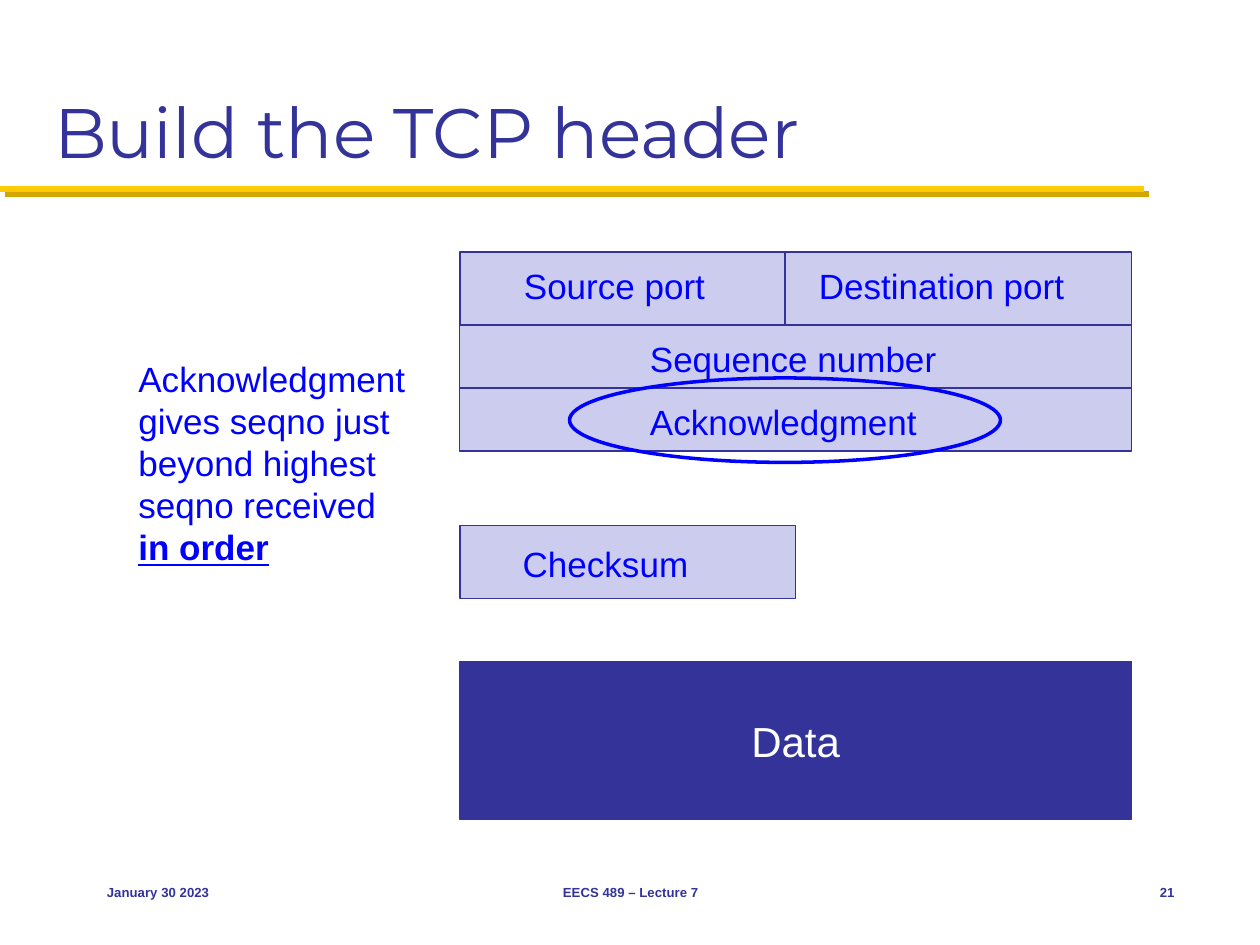
from lxml.etree import SubElement
from pptx import Presentation
from pptx.dml.color import RGBColor
from pptx.enum.shapes import MSO_CONNECTOR, MSO_SHAPE
from pptx.enum.text import MSO_ANCHOR, PP_ALIGN
from pptx.oxml.ns import qn
from pptx.util import Inches, Pt

COLORS = {"navy": "333399", "lavender": "CCCCEE", "blue": "0000FF",
          "gold": "FFCB05", "dark gold": "D3A600", "white": "FFFFFF"}

TITLE = "Build the TCP header"
NOTE = ("Acknowledgment gives seqno just beyond highest seqno received ", "in order")

# Header grid: left edge and full width; each row has top, height and fields
HEADER_LEFT, HEADER_WIDTH = 3.65, 5.33
# Field: name, width, label offset from the field's left and top, label width
HEADER_ROWS = [
    (2.0, 0.58, [("Source port", 2.58, 0.41, 0.05, 1.64),
                 ("Destination port", 2.75, 0.17, 0.05, 2.15)]),
    (2.58, 0.5, [("Sequence number", HEADER_WIDTH, 1.41, 0.05, 2.47)]),
    (3.08, 0.5, [("Acknowledgment", HEADER_WIDTH, 1.41, 0.05, 2.34)]),
    (4.17, 0.58, [("Checksum", HEADER_WIDTH / 2, 0.4, 0.09, 1.51)]),
]
LABEL_HEIGHT = 0.43

# Footer: text, left, width, alignment
FOOTER_TOP, FOOTER_HEIGHT = 6.83, 0.5
FOOTER = [("January 30 2023", 0.75, 2.08, PP_ALIGN.LEFT),
          ("EECS 489 – Lecture 7", 3.42, 3.17, PP_ALIGN.CENTER),
          ("21", 8.75, 0.67, PP_ALIGN.RIGHT)]


def rgb(name):
    return RGBColor.from_string(COLORS[name])


def set_font(paragraph, size, color, name="Arial", bold=False):
    font = paragraph.font
    font.size, font.name, font.bold = Pt(size), name, bold
    font.color.rgb = rgb(color)


def add_block(slide, box, fill=None, line=None, weight=0.75, kind=MSO_SHAPE.RECTANGLE):
    block = slide.shapes.add_shape(kind, *map(Inches, box))
    block.shadow.inherit = False
    if fill:
        block.fill.solid()
        block.fill.fore_color.rgb = rgb(fill)
    else:
        block.fill.background()
    if line:
        block.line.color.rgb = rgb(line)
        block.line.width = Pt(weight)
    else:
        block.line.fill.background()
    return block


def write(shape, text, size, color, align=PP_ALIGN.LEFT, anchor=MSO_ANCHOR.TOP,
          wrap=True, bold=False):
    frame = shape.text_frame
    frame.word_wrap, frame.vertical_anchor = wrap, anchor
    paragraph = frame.paragraphs[0]
    paragraph.text, paragraph.alignment = text, align
    set_font(paragraph, size, color, bold=bold)
    return paragraph


def add_title_rule(slide):
    rule = slide.shapes.add_connector(MSO_CONNECTOR.STRAIGHT, 0, Inches(1.5),
                                      Inches(9.08), Inches(1.5))
    rule.line.color.rgb = rgb("gold")
    rule.line.width = Pt(3.5)
    effects = SubElement(rule._element.spPr, qn("a:effectLst"))
    shadow = SubElement(effects, qn("a:outerShdw"), dist=str(Pt(4.2)),
                        dir=str(45 * 60000), algn="ctr", rotWithShape="0")
    SubElement(shadow, qn("a:srgbClr"), val=COLORS["dark gold"])


def main():
    deck = Presentation()
    deck.slide_width, deck.slide_height = Inches(10), Inches(7.5)
    slide = deck.slides.add_slide(deck.slide_layouts[5])

    # Title and its rule
    add_title_rule(slide)
    title = slide.shapes.title
    title.left, title.top, title.width, title.height = map(Inches, (0.33, 0.17, 9.33, 1.25))
    heading = write(title, TITLE, 40, "navy", anchor=MSO_ANCHOR.BOTTOM)
    set_font(heading, 40, "navy", "Montserrat")

    # Header fields with their labels
    for top, height, fields in HEADER_ROWS:
        left = HEADER_LEFT
        for name, width, dx, dy, label_width in fields:
            add_block(slide, (left, top, width, height), "lavender", "navy")
            label = add_block(slide, (left + dx, top + dy, label_width, LABEL_HEIGHT),
                              "lavender")
            write(label, name, 20, "blue", wrap=False)
            left += width

    # Payload
    data = add_block(slide, (HEADER_LEFT, 5.25, HEADER_WIDTH, 1.25), "navy", "navy")
    write(data, "Data", 24, "white", PP_ALIGN.CENTER, MSO_ANCHOR.MIDDLE)

    # Ring around the acknowledgment field, and its explanation
    add_block(slide, (4.52, 3, 3.42, 0.67), line="blue", weight=2, kind=MSO_SHAPE.OVAL)
    note = slide.shapes.add_textbox(*map(Inches, (1, 2.79, 2.33, 1.78)))
    explanation = write(note, NOTE[0], 20, "blue")
    emphasis = explanation.add_run()
    emphasis.text = NOTE[1]
    emphasis.font.bold = emphasis.font.underline = True

    # Footer
    for text, left, width, align in FOOTER:
        footer = slide.shapes.add_textbox(
            *map(Inches, (left, FOOTER_TOP, width, FOOTER_HEIGHT)))
        write(footer, text, 7.5, "navy", align, MSO_ANCHOR.MIDDLE, bold=True)

    deck.save("out.pptx")


if __name__ == "__main__":
    main()
